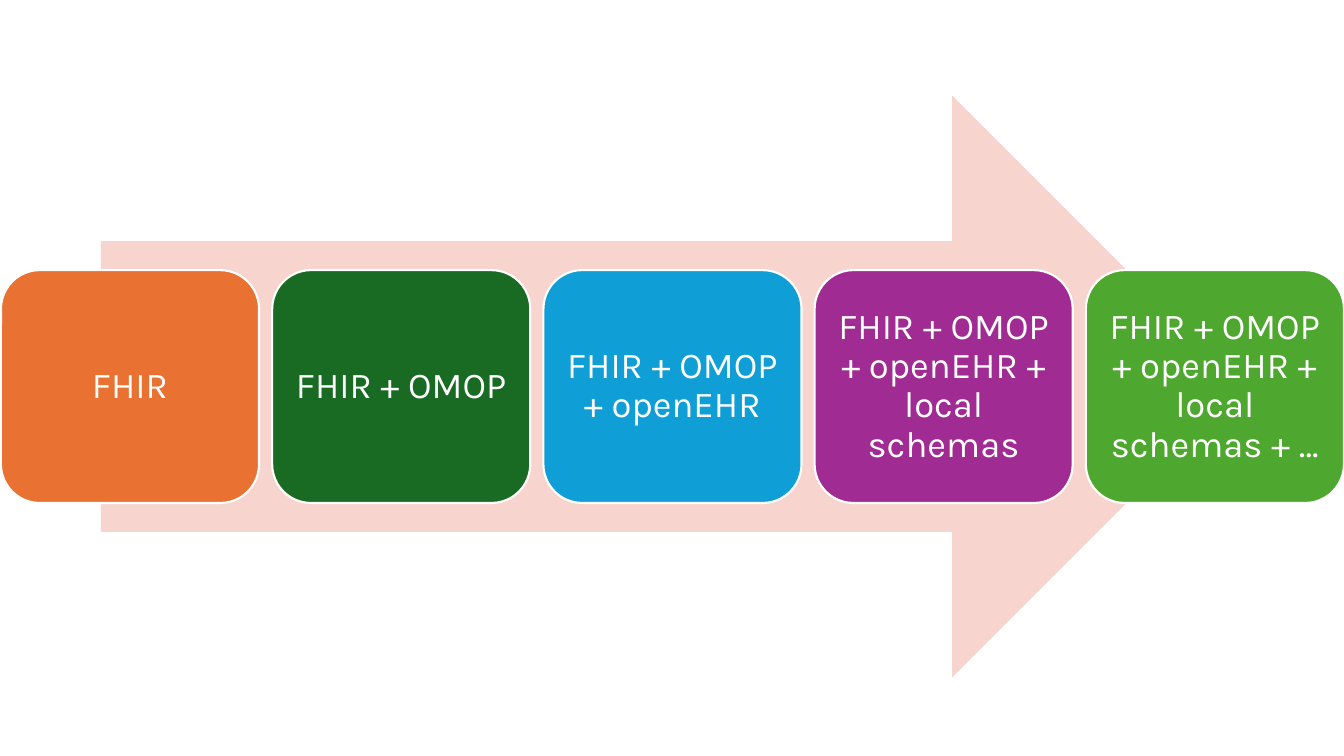
from pptx import Presentation
from pptx.dml.color import RGBColor
from pptx.enum.shapes import MSO_SHAPE
from pptx.enum.text import MSO_ANCHOR, PP_ALIGN
from pptx.util import Emu, Pt

PX = 9144  # EMU per px, 100 px to the inch


def rgb(hex_color):
    return RGBColor.from_string(hex_color)


def write(tf, text, font="Karla", size=26, color="FFFFFF", margin=11):
    tf.word_wrap = True
    tf.vertical_anchor = MSO_ANCHOR.MIDDLE
    tf.margin_left = tf.margin_right = Emu(margin * PX)
    tf.margin_top = tf.margin_bottom = Emu(margin * PX)
    p = tf.paragraphs[0]
    p.alignment = PP_ALIGN.CENTER
    p.line_spacing = 0.9
    r = p.add_run()
    r.text = text
    r.font.name = font
    r.font.size = Pt(size)
    r.font.color.rgb = rgb(color)


class Deck:
    ARROW_FILL = "F7D5CE"
    OUTLINE = "FFFFFF"

    def __init__(self, width, height):
        self.prs = Presentation()
        self.prs.slide_width = Emu(width * PX)
        self.prs.slide_height = Emu(height * PX)
        self.s = self.prs.slides.add_slide(self.prs.slide_layouts[6])

    def shape(self, kind, x, y, w, h, fill):
        sp = self.s.shapes.add_shape(kind, *(Emu(v * PX) for v in (x, y, w, h)))
        sp.shadow.inherit = False
        sp.fill.solid()
        sp.fill.fore_color.rgb = rgb(fill)
        sp.line.fill.background()
        return sp

    def arrow(self, x, y, w, h):
        self.shape(MSO_SHAPE.RIGHT_ARROW, x, y, w, h, self.ARROW_FILL)

    def stage(self, x, y, w, h, text, fill):
        sp = self.shape(MSO_SHAPE.ROUNDED_RECTANGLE, x, y, w, h, fill)
        sp.line.color.rgb = rgb(self.OUTLINE)
        sp.line.width = Pt(1.5)
        write(sp.text_frame, text)


def main():
    deck = Deck(1333, 750)

    # Arrow behind the stages
    deck.arrow(100, 95, 1133, 577)

    # Evenly spaced stages, each adding one more standard
    stages = [
        ("FHIR", "E97132"),
        ("FHIR + OMOP", "196B24"),
        ("FHIR + OMOP + openEHR", "0F9ED5"),
        ("FHIR + OMOP + openEHR + local schemas", "A02B93"),
        ("FHIR + OMOP + openEHR + local schemas + …", "4EA72E"),
    ]
    width, gap = 256, 13
    for i, (text, fill) in enumerate(stages):
        deck.stage(1 + i * (width + gap), 268, width, 231, text, fill)

    deck.prs.save("out.pptx")


if __name__ == "__main__":
    main()
